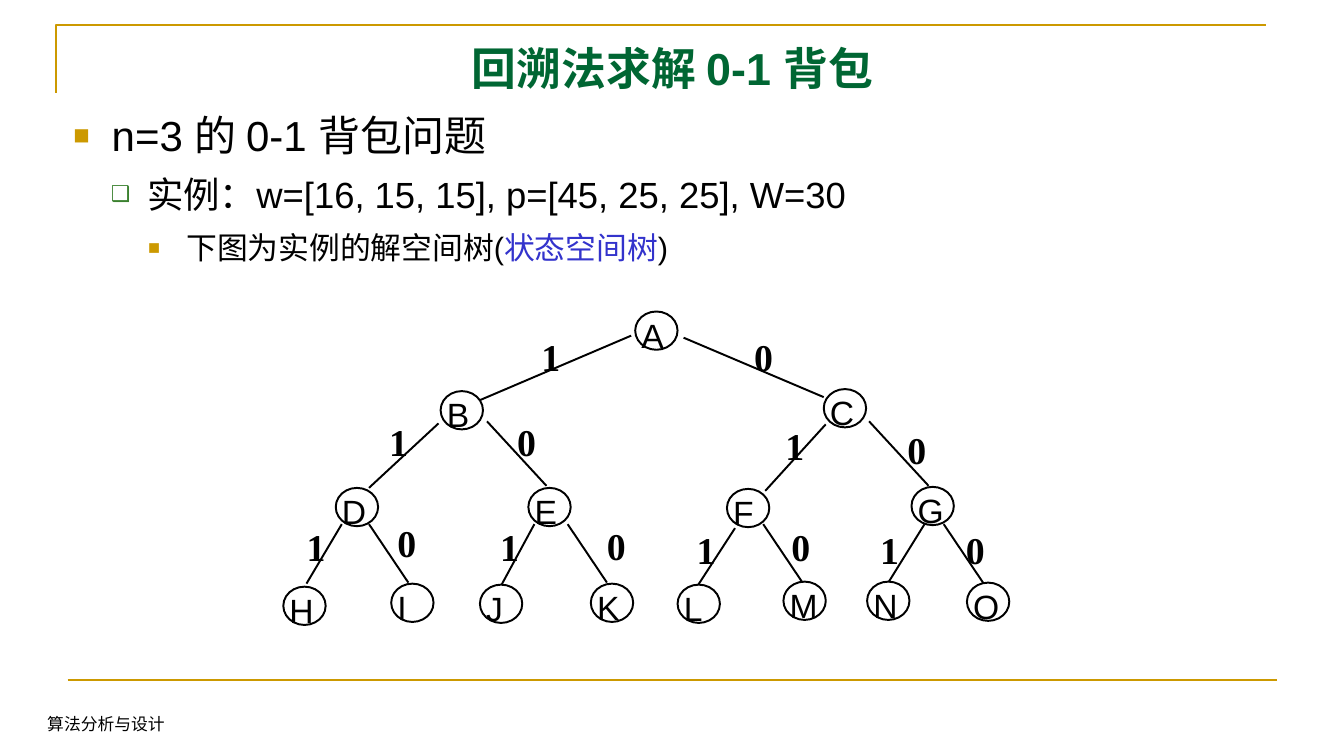
"""Builds the slide on solving the 0-1 knapsack problem by backtracking."""
from lxml.etree import SubElement
from pptx import Presentation
from pptx.dml.color import RGBColor
from pptx.enum.shapes import MSO_CONNECTOR as Connector, MSO_SHAPE as Shape
from pptx.enum.text import MSO_ANCHOR as Anchor, PP_ALIGN as Align
from pptx.oxml.ns import qn
from pptx.util import Inches, Pt

BLACK = RGBColor(0x00, 0x00, 0x00)
WHITE = RGBColor(0xFF, 0xFF, 0xFF)
GOLD = RGBColor(0xCC, 0x99, 0x00)
DARK_GREEN = RGBColor(0x00, 0x66, 0x33)
LEAF_GREEN = RGBColor(0x3B, 0x81, 0x2F)
BLUE = RGBColor(0x33, 0x33, 0xCC)

SANS, SERIF = "Arial", "Times New Roman"
TREE_LINE = 1.38
NODE_SIZE = (0.42, 0.38)
LABEL_SIZE = (0.19, 0.45)

OUTLINE = [
    (["n=3 的 0-1 背包问题"], 30, 0.38, 0.38, 1.1, "■", GOLD, 65),
    (["实例：w=[16, 15, 15], p=[45, 25, 25], W=30"], 26, 0.73, 0.36, 1.1, "❑", LEAF_GREEN, 60),
    (["下图为实例的解空间树(", "状态空间树", ")"], 22, 1.12, 0.38, 1.2, "■", GOLD, 65),
]

NODES = {
    "A": (6.3, 3.09), "B": (4.37, 3.88), "C": (8.17, 3.86),
    "D": (3.33, 4.84), "E": (5.24, 4.84), "F": (7.21, 4.85), "G": (9.04, 4.83),
    "H": (2.81, 5.82), "I": (3.88, 5.79), "J": (4.76, 5.8), "K": (5.86, 5.79),
    "L": (6.72, 5.8), "M": (7.77, 5.77), "N": (8.6, 5.77), "O": (9.59, 5.78),
}

BRANCHES = [
    ((6.26, 3.33), (4.76, 3.97), (5.37, 3.31)),
    ((6.78, 3.35), (8.17, 3.94), (7.48, 3.31)),
    ((4.35, 4.2), (3.66, 4.84), (3.86, 4.15)),
    ((4.83, 4.18), (5.42, 4.82), (5.13, 4.15)),
    ((8.19, 4.21), (7.59, 4.87), (7.79, 4.19)),
    ((8.62, 4.18), (9.21, 4.82), (9, 4.23)),
    ((3.39, 5.2), (3.04, 5.79), (3.04, 5.2)),
    ((3.66, 5.2), (4.05, 5.78), (3.94, 5.16)),
    ((5.3, 5.2), (4.97, 5.81), (4.96, 5.2)),
    ((5.63, 5.2), (6.02, 5.78), (6.02, 5.19)),
    ((7.29, 5.24), (6.92, 5.81), (6.91, 5.22)),
    ((7.57, 5.2), (7.96, 5.78), (7.85, 5.2)),
    ((9.17, 5.2), (8.81, 5.78), (8.73, 5.22)),
    ((9.36, 5.2), (9.75, 5.78), (9.58, 5.22)),
]


class SlideBuilder:
    def __init__(self, page):
        self.page = page
        self.shapes = page.shapes

    def start_group(self):
        self.shapes = self.page.shapes.add_group_shape().shapes

    def style(self, span, size, font=SANS, color=BLACK, bold=False):
        span.font.size = Pt(size)
        span.font.name = font
        span.font.bold = bold
        span.font.color.rgb = color

    def clear_margins(self, frame):
        frame.margin_left = frame.margin_right = 0
        frame.margin_top = frame.margin_bottom = 0

    def line(self, start, end, color, width):
        ends = [Inches(value) for value in (*start, *end)]
        line = self.shapes.add_connector(Connector.STRAIGHT, *ends)
        line.line.color.rgb = color
        line.line.width = Pt(width)
        SubElement(line._element.spPr, qn("a:effectLst"))

    def corner(self, points, color, width):
        first, *others = [(Inches(x), Inches(y)) for x, y in points]
        builder = self.shapes.build_freeform(*first)
        builder.add_line_segments(others, close=False)
        corner = builder.convert_to_shape()
        corner.shadow.inherit = False
        corner.fill.background()
        corner.line.color.rgb = color
        corner.line.width = Pt(width)

    def text(self, place, words, size, font=SANS, color=BLACK, bold=False,
             align=Align.LEFT, anchor=Anchor.TOP, spacing=1.0):
        box = self.shapes.add_textbox(*map(Inches, place))
        frame = box.text_frame
        frame.word_wrap = True
        frame.vertical_anchor = anchor
        frame.text = words
        para = frame.paragraphs[0]
        para.alignment = align
        para.line_spacing = spacing
        self.style(para.runs[0], size, font, color, bold)
        return frame

    def outline(self, place, rows):
        frame = self.shapes.add_textbox(*map(Inches, place)).text_frame
        frame.word_wrap = True
        for level, (words, size, margin, hang, spacing, mark, color, scale) in enumerate(rows):
            para = frame.add_paragraph() if level else frame.paragraphs[0]
            para.level = level
            para.line_spacing = spacing
            if level:
                para.space_before = Pt(size * 0.2)
            self.bullet(para, margin, hang, mark, color, scale)
            for number, part in enumerate(words):
                span = para.add_run()
                span.text = part
                self.style(span, size, color=BLUE if number == 1 else BLACK)

    def bullet(self, para, margin, hang, mark, color, scale):
        props = para._p.get_or_add_pPr()
        props.set("marL", str(Inches(margin)))
        props.set("indent", str(-Inches(hang)))
        SubElement(SubElement(props, qn("a:buClr")), qn("a:srgbClr"), val=str(color))
        SubElement(props, qn("a:buSzPct"), val=str(scale * 1000))
        SubElement(props, qn("a:buFont"), typeface=SANS)
        SubElement(props, qn("a:buChar"), char=mark)

    def branch_label(self, corner, bit):
        frame = self.text((*corner, *LABEL_SIZE), bit, 27, SERIF, bold=True)
        frame.word_wrap = False
        self.clear_margins(frame)

    def node(self, corner, letter):
        circle = self.shapes.add_shape(Shape.OVAL, *map(Inches, (*corner, *NODE_SIZE)))
        circle.shadow.inherit = False
        circle.fill.solid()
        circle.fill.fore_color.rgb = WHITE
        circle.line.color.rgb = BLACK
        circle.line.width = Pt(TREE_LINE)
        frame = circle.text_frame
        self.clear_margins(frame)
        frame.vertical_anchor = Anchor.MIDDLE
        frame.text = letter
        para = frame.paragraphs[0]
        para.alignment = Align.JUSTIFY
        para.line_spacing = 1.2
        self.style(para.runs[0], 24)


def main():
    deck = Presentation()
    deck.slide_width, deck.slide_height = Inches(13.33), Inches(7.5)
    slide = SlideBuilder(deck.slides.add_slide(deck.slide_layouts[6]))

    slide.corner([(0.56, 0.92), (0.56, 0.25), (12.56, 0.25)], GOLD, 1.5)
    slide.line((0.67, 6.75), (12.67, 6.75), GOLD, 1.5)
    slide.text((0.67, 0.3, 12, 0.77), "回溯法求解 0-1 背包", 32, color=DARK_GREEN,
               bold=True, align=Align.CENTER, spacing=1.1)
    slide.outline((0.63, 0.99, 9.75, 1.76), OUTLINE)
    slide.text((0.37, 6.98, 4.22, 0.35), "算法分析与设计", 12, SERIF, anchor=Anchor.BOTTOM)

    slide.start_group()
    for start, end, _ in BRANCHES:
        slide.line(start, end, BLACK, TREE_LINE)
    for number, (_, _, corner) in enumerate(BRANCHES):
        slide.branch_label(corner, "10"[number % 2])
    for letter, corner in NODES.items():
        slide.node(corner, letter)

    deck.save("out.pptx")


if __name__ == "__main__":
    main()
